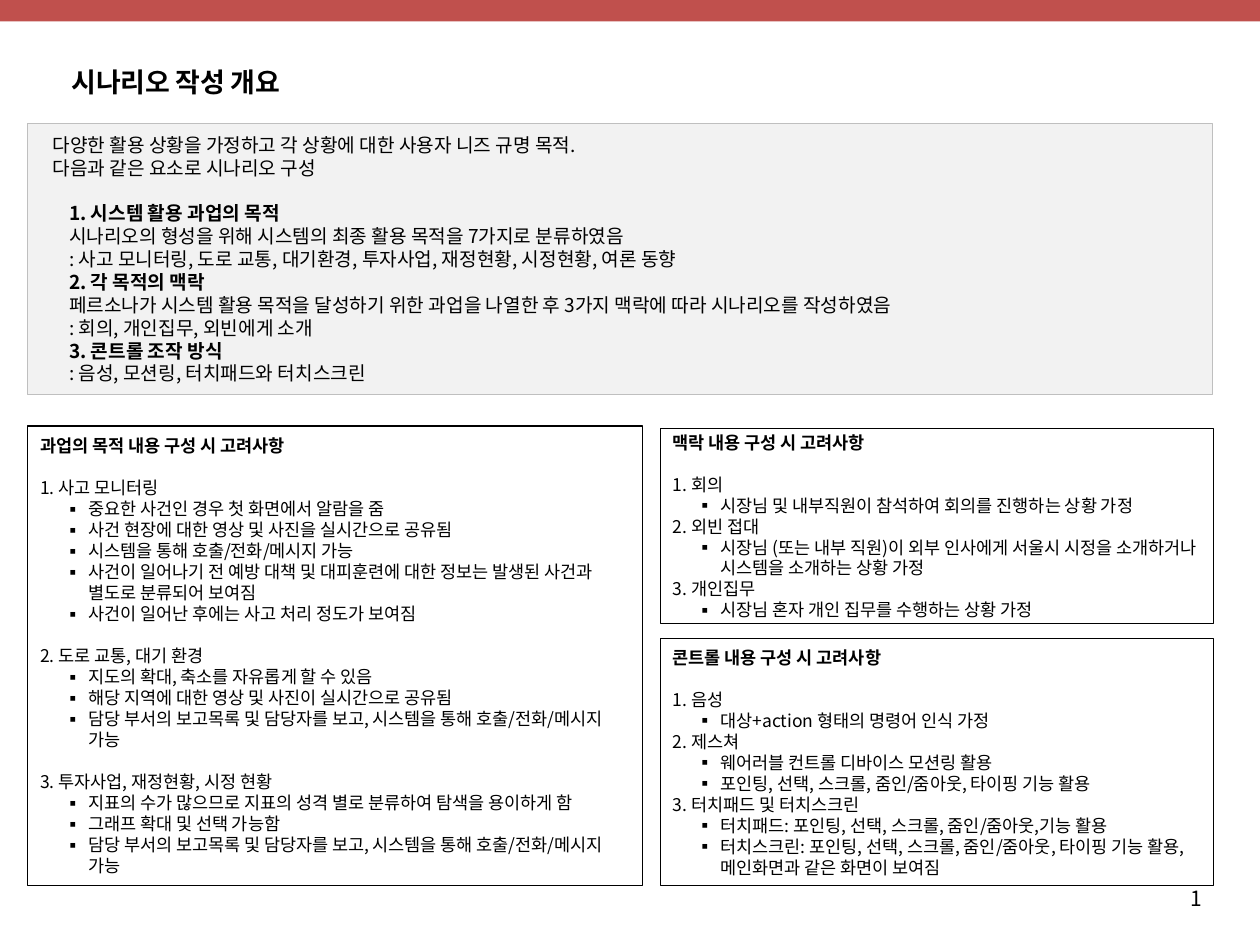
from pptx import Presentation
from pptx.util import Inches, Pt
from pptx.dml.color import RGBColor
from pptx.enum.shapes import MSO_SHAPE as Kind
from pptx.enum.text import PP_ALIGN as Align, MSO_ANCHOR as Anchor, MSO_AUTO_SIZE as Auto
from pptx.oxml.ns import qn
from lxml import etree

theme = {
    "font": "Noto Sans CJK KR",
    "ink": RGBColor(0, 0, 0),
    "band": RGBColor(0xC0, 0x50, 0x4D),
    "pale": RGBColor(0xF2, 0xF2, 0xF2),
    "edge": RGBColor(0xBF, 0xBF, 0xBF),
    "title": 15.4,
    "lead": 10.9,
    "body": 10,
    "page": 12,
    "pitch": 1.2,
}

deck = Presentation()
deck.slide_width, deck.slide_height = Inches(10), Inches(7.5)
slide = deck.slides.add_slide(deck.slide_layouts[6])


def add_box(area, fill=None, line=None, width=0.75):
    box = slide.shapes.add_shape(Kind.RECTANGLE, *[Inches(n) for n in area])
    box.shadow.inherit = False
    if fill is None:
        box.fill.background()
    else:
        box.fill.solid()
        box.fill.fore_color.rgb = fill
    if line is None:
        box.line.fill.background()
    else:
        box.line.color.rgb = line
        box.line.width = Pt(width)
    frame = box.text_frame
    frame.word_wrap = True
    frame.vertical_anchor = Anchor.MIDDLE
    return frame


def add_para(frame, text, size, bold=False, left=0, hang=0, gap=0, align=Align.LEFT):
    para = frame.paragraphs[0]
    if para.runs:
        para = frame.add_paragraph()
    para.alignment = align
    para.line_spacing = Pt(size * theme["pitch"])
    para.space_before = Pt(gap)
    props = para._p.get_or_add_pPr()
    props.set("marL", str(Inches(left)))
    props.set("indent", str(Inches(-hang)))
    if hang:
        etree.SubElement(props, qn("a:buFont"), typeface=theme["font"])
        etree.SubElement(props, qn("a:buChar"), char="▪")
    for row, part in enumerate(text.split("\n")):
        if row:
            para.add_line_break()
        run = para.add_run()
        run.text = part
        run.font.size = Pt(size)
        run.font.bold = bold
        run.font.name = theme["font"]
        run.font.color.rgb = theme["ink"]
        etree.SubElement(run._r.get_or_add_rPr(), qn("a:ea"), typeface=theme["font"])
    return para


add_box((0, 0, 10, 0.17), theme["band"])

title = slide.shapes.add_textbox(Inches(0.46), Inches(0.48), Inches(2.13), Inches(0.35)).text_frame
title.word_wrap = False
title.auto_size = Auto.SHAPE_TO_FIT_TEXT
title.margin_left = title.margin_right = Inches(0.09)
title.margin_top = title.margin_bottom = Inches(0.04)
head = add_para(title, "시나리오 작성 개요", theme["title"], True, left=0.02, gap=2.3)
head.runs[0]._r.get_or_add_rPr().set("spc", "-10")

lead = add_box((0.22, 0.98, 9.4, 2.15), theme["pale"], theme["edge"], 0.25)
for text in (
    "다양한 활용 상황을 가정하고 각 상황에 대한 사용자 니즈 규명 목적.",
    "다음과 같은 요소로 시나리오 구성",
):
    add_para(lead, text, theme["lead"], left=0.1)

parts = [
    ("1. 시스템 활용 과업의 목적",
     "시나리오의 형성을 위해 시스템의 최종 활용 목적을 7가지로 분류하였음\n"
     ": 사고 모니터링, 도로 교통, 대기환경, 투자사업, 재정현황, 시정현황, 여론 동향"),
    ("2. 각 목적의 맥락",
     "페르소나가 시스템 활용 목적을 달성하기 위한 과업을 나열한 후 3가지 맥락에 따라 시나리오를 작성하였음\n"
     ": 회의, 개인집무, 외빈에게 소개"),
    ("3. 콘트롤 조작 방식", ": 음성, 모션링, 터치패드와 터치스크린"),
]
for spot, (name, text) in enumerate(parts):
    gap = 0 if spot else theme["lead"] * theme["pitch"]
    add_para(lead, name, theme["lead"], True, left=0.23, gap=gap)
    add_para(lead, text, theme["lead"], left=0.23)

report = "담당 부서의 보고목록 및 담당자를 보고, 시스템을 통해 호출/전화/메시지 가능"
panels = [
    ((0.22, 3.38, 4.88, 3.65), "과업의 목적 내용 구성 시 고려사항", True, [
        ("1. 사고 모니터링", [
            "중요한 사건인 경우 첫 화면에서 알람을 줌",
            "사건 현장에 대한 영상 및 사진을 실시간으로 공유됨",
            "시스템을 통해 호출/전화/메시지 가능",
            "사건이 일어나기 전 예방 대책 및 대피훈련에 대한 정보는 발생된 사건과 별도로 분류되어 보여짐",
            "사건이 일어난 후에는 사고 처리 정도가 보여짐",
        ]),
        ("2. 도로 교통, 대기 환경", [
            "지도의 확대, 축소를 자유롭게 할 수 있음",
            "해당 지역에 대한 영상 및 사진이 실시간으로 공유됨",
            report,
        ]),
        ("3. 투자사업, 재정현황, 시정 현황", [
            "지표의 수가 많으므로 지표의 성격 별로 분류하여 탐색을 용이하게 함",
            "그래프 확대 및 선택 가능함",
            report,
        ]),
    ]),
    ((5.24, 3.4, 4.39, 1.55), "맥락 내용 구성 시 고려사항", False, [
        ("1. 회의", ["시장님 및 내부직원이 참석하여 회의를 진행하는 상황 가정"]),
        ("2. 외빈 접대", [
            "시장님 (또는 내부 직원)이 외부 인사에게 서울시 시정을 소개하거나 시스템을 소개하는 상황 가정",
        ]),
        ("3. 개인집무", ["시장님 혼자 개인 집무를 수행하는 상황 가정"]),
    ]),
    ((5.24, 5.07, 4.39, 1.96), "콘트롤 내용 구성 시 고려사항", False, [
        ("1. 음성", ["대상+action 형태의 명령어 인식 가정"]),
        ("2. 제스쳐", [
            "웨어러블 컨트롤 디바이스 모션링 활용",
            "포인팅, 선택, 스크롤, 줌인/줌아웃, 타이핑 기능 활용",
        ]),
        ("3. 터치패드 및 터치스크린", [
            "터치패드: 포인팅, 선택, 스크롤, 줌인/줌아웃,기능 활용",
            "터치스크린: 포인팅, 선택, 스크롤, 줌인/줌아웃, 타이핑 기능 활용, 메인화면과 같은 화면이 보여짐",
        ]),
    ]),
]
size = theme["body"]
for area, name, loose, groups in panels:
    panel = add_box(area, line=theme["ink"])
    add_para(panel, name, size, True)
    for spot, (topic, items) in enumerate(groups):
        gap = size * theme["pitch"] if loose or spot == 0 else 0
        add_para(panel, topic, size, gap=gap)
        for item in items:
            add_para(panel, item, size, left=0.38, hang=0.19)

page = slide.shapes.add_textbox(Inches(8.05), Inches(6.84), Inches(1.59), Inches(0.57)).text_frame
page.word_wrap = True
page.vertical_anchor = Anchor.MIDDLE
add_para(page, "1", theme["page"], align=Align.RIGHT)

deck.save("out.pptx")
